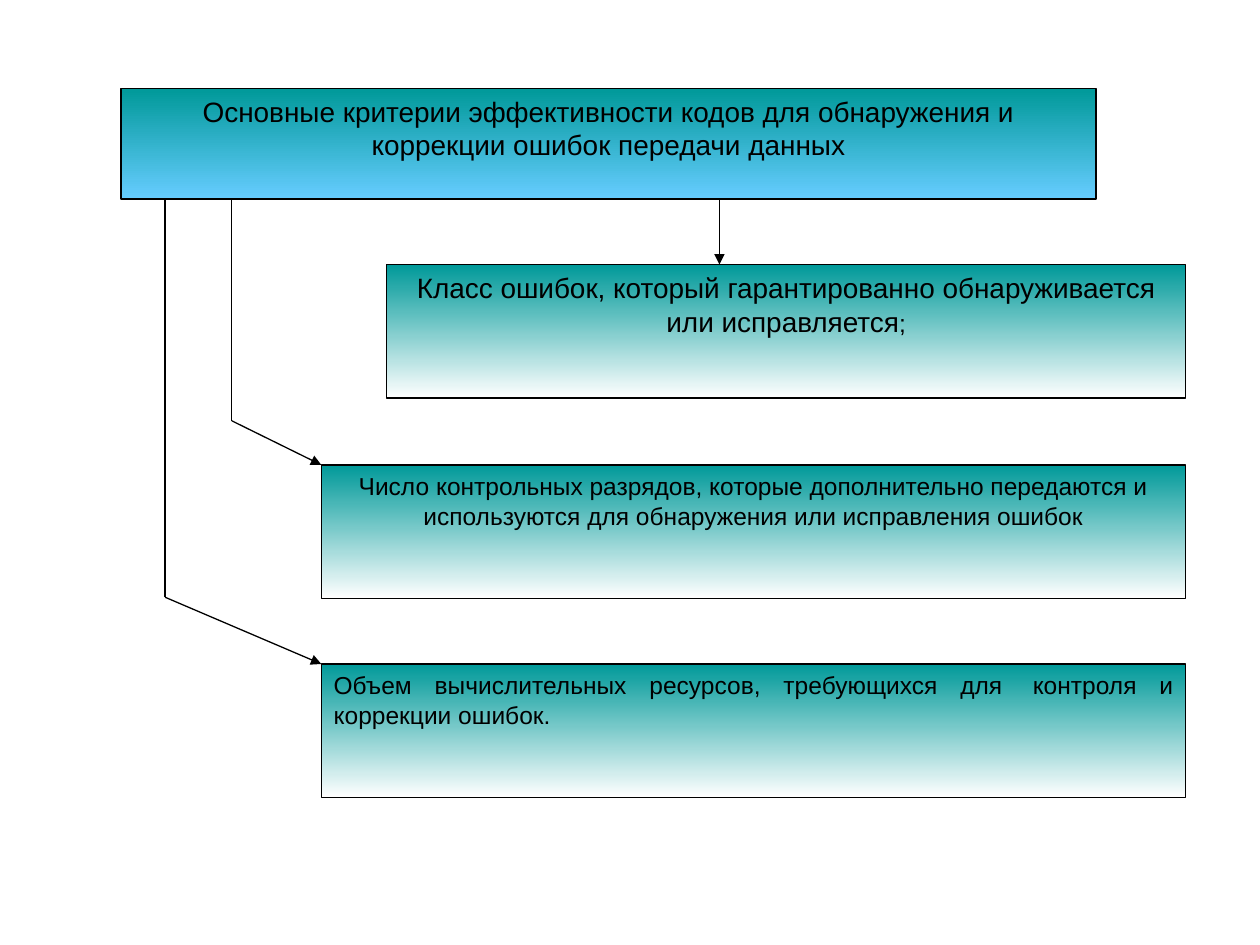
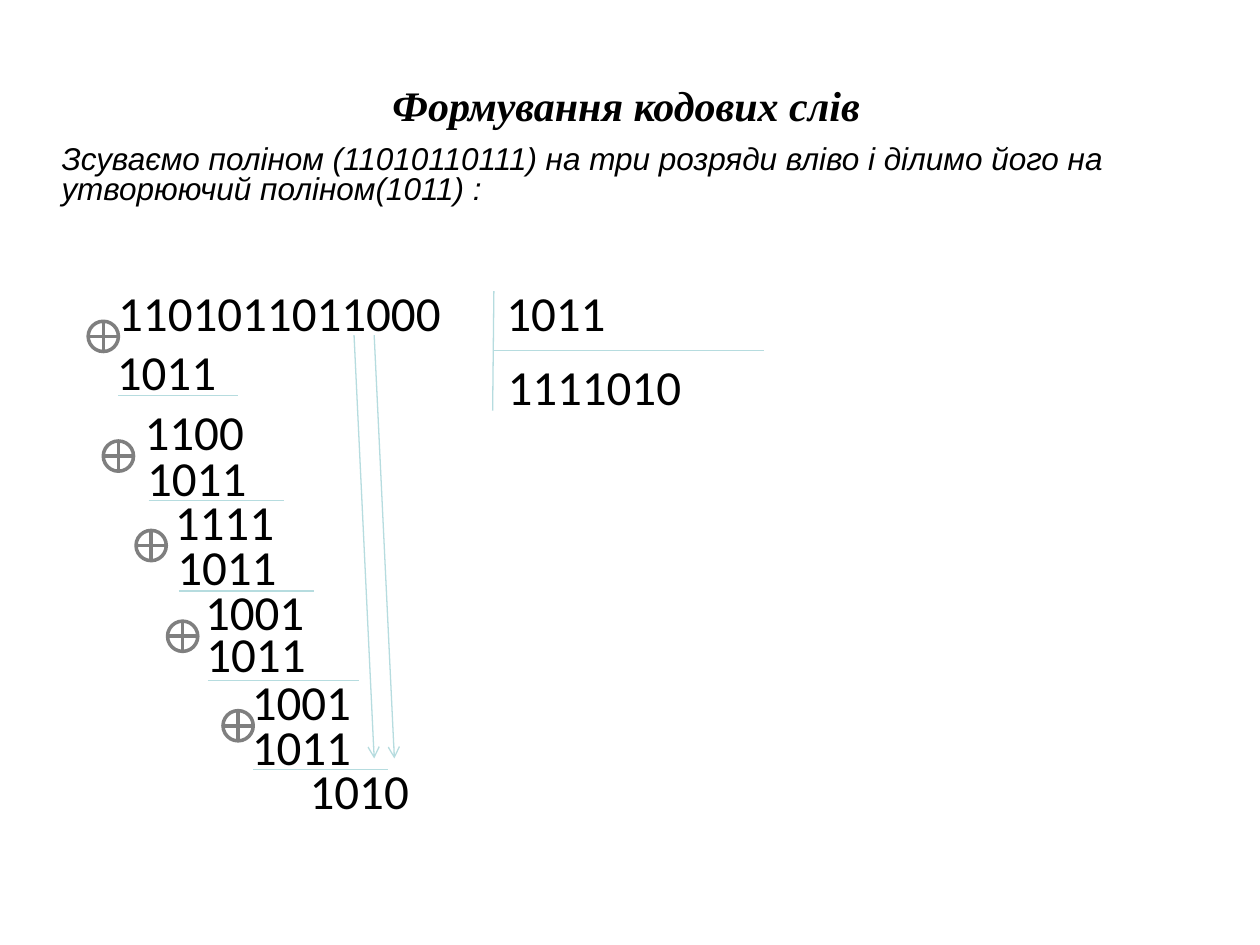
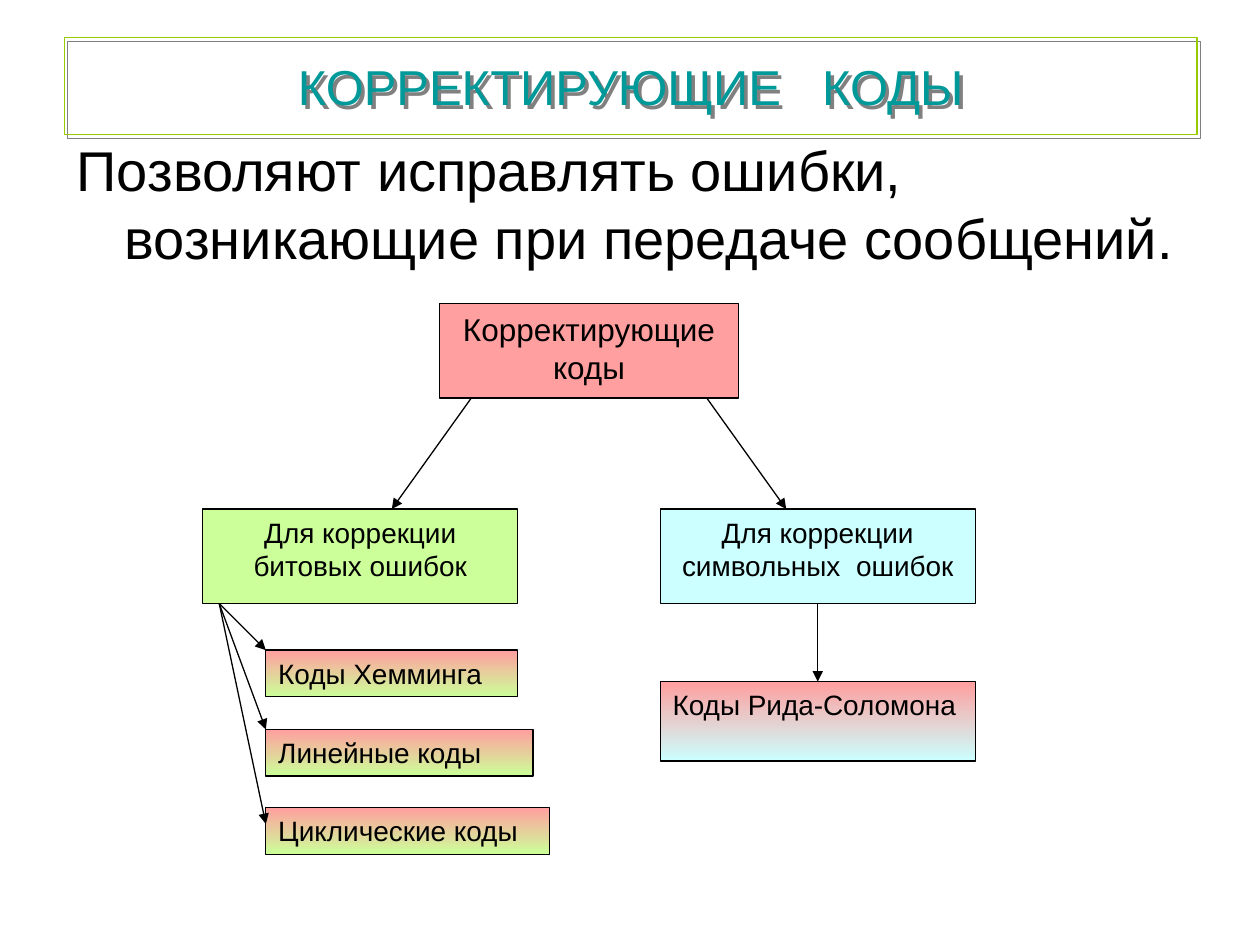
from lxml import etree
from pptx import Presentation
from pptx import util as u
from pptx.dml import color
from pptx.enum import shapes, text
from pptx.oxml import ns

BLACK, WHITE, TEAL, SKY = "000000", "FFFFFF", "009999", "66CCFF"
ROSE, LIME, ICE = "FF9F9F", "CCFF99", "CCFFFF"
PALE, GREY, GREEN, SHADE = "B6DCDF", "7F7F7F", "99CC00", "808080"
LEFT, MID, JUST = text.PP_ALIGN.LEFT, text.PP_ALIGN.CENTER, text.PP_ALIGN.JUSTIFY
TOP, CENTER = text.MSO_ANCHOR.TOP, text.MSO_ANCHOR.MIDDLE
RECT = shapes.MSO_SHAPE.RECTANGLE
BOTTOM_SIDE, TOP_SIDE = 2, 0
SPACE = 0.28  # width of an Arial space, in ems


def rgb(code):
    return color.RGBColor.from_string(code)


def sub(parent, tag, **attrs):
    return etree.SubElement(parent, ns.qn(tag), **attrs)


# Text
def write(shape, runs, align=LEFT, anchor=TOP, wrap=True, font="Arial",
          tint=BLACK, italic=None, bold=None):
    """Each run is (words, size) or (words, size, extra spaces after each letter)."""
    frame = shape.text_frame
    frame.word_wrap = wrap
    frame.vertical_anchor = anchor
    para = frame.paragraphs[0]
    para.alignment = align
    for words, size, *gap in runs:
        run = para.add_run()
        run.text = words
        face = run.font
        face.name, face.size = font, u.Pt(size)
        face.bold, face.italic = bold, italic
        face.color.rgb = rgb(tint)
        if gap:
            run._r.get_or_add_rPr().set("spc", str(round(gap[0] * SPACE * size * 100)))
    return para


def label(slide, at, runs, **style):
    box = slide.shapes.add_textbox(*map(u.Inches, at))
    return write(box, runs, **style)


# Shapes and lines
def shape(slide, kind, at, fill=None, edge=BLACK, width=0.75):
    """Fill is None, one colour, or a (top, bottom) pair for a gradient."""
    item = slide.shapes.add_shape(kind, *map(u.Inches, at))
    item.shadow.inherit = False
    item.line.color.rgb = rgb(edge)
    item.line.width = u.Pt(width)
    if fill is None:
        item.fill.background()
    elif isinstance(fill, str):
        item.fill.solid()
        item.fill.fore_color.rgb = rgb(fill)
    else:
        item.fill.gradient()
        item.fill.gradient_angle = 270
        for stop, code in zip(item.fill.gradient_stops, fill):
            stop.color.rgb = rgb(code)
    return item


def box(slide, at, fill, runs, align=MID):
    item = shape(slide, RECT, at, fill)
    write(item, runs, align)
    return item


def line(slide, start, end, tint=BLACK, head=None):
    ends = map(u.Inches, (*start, *end))
    item = slide.shapes.add_connector(shapes.MSO_CONNECTOR.STRAIGHT, *ends)
    item.line.color.rgb = rgb(tint)
    item.line.width = u.Pt(0.75)
    if head:
        sub(item.line._get_or_add_ln(), "a:tailEnd", type=head)
    sub(item._element.spPr, "a:effectLst")
    return item


def arrow(slide, start, end):
    return line(slide, start, end, head="triangle")


# Slide 1: criteria
def criteria(slide):
    fade = (TEAL, WHITE)
    box(slide, (0.96, 0.7, 7.74, 0.88), (TEAL, SKY), [
        ("Основные критерии эффективности кодов для обнаружения и "
         "коррекции ошибок передачи данных", 16)])
    box(slide, (3.07, 2.1, 6.34, 1.06), fade, [
        ("Класс ошибок, который гарантированно обнаруживается или исправляется", 16),
        (";", 14)])
    box(slide, (2.55, 3.69, 6.86, 1.06), fade, [
        ("Число контрольных разрядов, которые дополнительно передаются и "
         "используются для обнаружения или исправления ошибок", 14)])
    box(slide, (2.55, 5.27, 6.86, 1.06), fade, [
        ("Объем вычислительных ресурсов, требующихся для", 14), (" ", 14, 1),
        ("контроля и коррекции ошибок.", 14)], JUST)
    arrow(slide, (5.71, 1.58), (5.71, 2.1))
    for x, bend, y in ((1.84, 3.34, 3.69), (1.31, 4.74, 5.27)):
        line(slide, (x, 1.58), (x, bend))
        arrow(slide, (x, bend), (2.55, y))


# Slide 2: long division
def digits(slide, x, y, bits):
    label(slide, (x, y, 0.2 + 0.2 * len(bits), 0.57), [(bits, 28)],
          font="Calibri", wrap=False)


def division(slide):
    label(slide, (0.47, 0.6, 9, 0.46), [("Формування кодових слів", 24)],
          align=MID, anchor=CENTER, font="Times New Roman", bold=True, italic=True)
    para = label(slide, (0.39, 1.12, 9, 0.56), [
        ("Зсуваємо поліном (11010110111) на три розряди вліво і ділимо його "
         "на утворюючий поліном(1011) :", 18)], anchor=CENTER, italic=True)
    para.line_spacing = 0.8

    # Divisor and quotient
    line(slide, (3.92, 2.31), (3.91, 3.26), PALE)
    line(slide, (3.92, 2.78), (6.06, 2.78), PALE)
    digits(slide, 3.92, 2.19, "1011")
    digits(slide, 3.93, 2.78, "1111010")

    # Remainder x, y, bits; divisor x, y; sign x, y; rule x, y, length
    steps = (
        (0.84, 2.19, "1101011011000", 0.83, 2.66, 0.7, 2.55, 0.94, 3.14, 0.95),
        (1.05, 3.14, "1100", 1.07, 3.5, 0.82, 3.5, 1.18, 3.97, 1.07),
        (1.29, 3.85, "1111", 1.31, 4.21, 1.08, 4.21, 1.42, 4.69, 1.07),
        (1.53, 4.57, "1001", 1.54, 4.9, 1.33, 4.93, 1.65, 5.4, 1.2),
        (1.9, 5.28, "1001", 1.9, 5.64, 1.77, 5.64, 2.01, 6.11, 1.07),
    )
    for x, y, bits, dx, dy, sx, sy, rx, ry, span in steps:
        shape(slide, shapes.MSO_SHAPE.FLOWCHART_OR, (sx, sy, 0.24, 0.24),
              WHITE, GREY, 2)
        digits(slide, x, y, bits)
        digits(slide, dx, dy, "1011")
        line(slide, (rx, ry), (rx + span, ry), PALE)
    digits(slide, 2.36, 5.99, "1010")
    for x in (2.81, 2.97):
        line(slide, (x, 2.66), (x + 0.16, 6.02), PALE, "arrow")


# Slide 3: tree of codes
def banner(slide, at, runs):
    item = shape(slide, RECT, at, edge=GREEN)
    glow = item._element.spPr.find(ns.qn("a:effectLst"))
    cast = sub(glow, "a:outerShdw", dist=str(u.Pt(2.8)), dir="2700000",
               algn="ctr", rotWithShape="0")
    sub(cast, "a:srgbClr", val=SHADE)
    write(item, runs, MID, CENTER, tint=TEAL)


def tree(slide):
    banner(slide, (0.51, 0.3, 8.99, 0.77),
           [("КОРРЕКТИРУЮЩИЕ", 28), (" ", 28, 2), ("КОДЫ", 28)])
    para = label(slide, (0.51, 1.03, 9, 1.41), [
        ("Позволяют исправлять ошибки, возникающие при передаче сообщений.", 32)])
    hang = u.Inches(0.38)
    props = para._p.get_or_add_pPr()
    props.set("marL", str(hang))
    props.set("indent", str(-hang))

    # Root and its two branches
    box(slide, (3.49, 2.41, 2.37, 0.75), ROSE, [("Корректирующие коды", 18)])
    box(slide, (1.61, 4.04, 2.5, 0.75), LIME, [("Для коррекции битовых ошибок", 16)])
    signs = box(slide, (5.24, 4.04, 2.5, 0.75), ICE, [
        ("Для коррекции символьных", 16), (" ", 16, 1), ("ошибок", 16)])
    arrow(slide, (3.74, 3.16), (3.11, 4.04))
    arrow(slide, (5.61, 3.16), (6.24, 4.04))

    # Codes under each branch
    leaves = (("Коды Хемминга", 5.16, 2, 5.16), ("Линейные коды", 5.79, 2.12, 5.79),
              ("Циклические коды", 6.41, 2.25, 6.54))
    for name, y, width, tip in leaves:
        box(slide, (2.11, y, width, 0.37), (ROSE, LIME), [(name, 16)], LEFT)
        arrow(slide, (1.74, 4.79), (2.11, tip))
    reed = box(slide, (5.24, 5.41, 2.5, 0.63), (ROSE, ICE),
               [("Коды Рида-Соломона", 16)], LEFT)
    link = arrow(slide, (6.49, 4.79), (6.49, 5.41))
    link.begin_connect(signs, BOTTOM_SIDE)
    link.end_connect(reed, TOP_SIDE)


def main():
    deck = Presentation()
    deck.slide_width, deck.slide_height = u.Inches(10), u.Inches(7.5)
    for build in (criteria, division, tree):
        build(deck.slides.add_slide(deck.slide_layouts[6]))
    deck.save("out.pptx")


if __name__ == "__main__":
    main()
